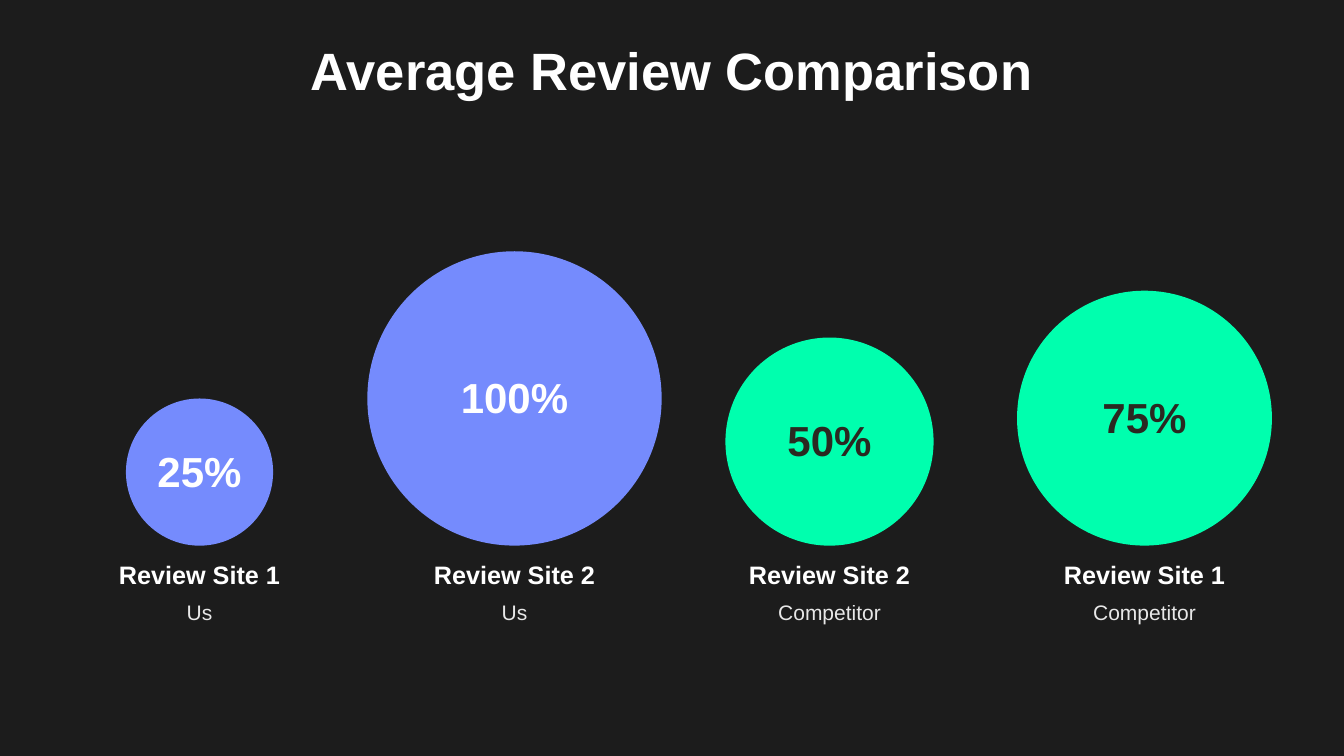
from math import sqrt
from pptx import Presentation
from pptx.dml.color import RGBColor
from pptx.enum.shapes import MSO_SHAPE
from pptx.enum.text import PP_ALIGN
from pptx.oxml.ns import qn
from pptx.util import Pt
from lxml import etree

COLORS = {"ground": "1C1C1C", "white": "FFFFFF", "dark": "2A2921",
          "us": "758BFD", "competitor": "00FFAE"}
STYLES = {
    "title": {"size": Pt(37.5), "bold": True, "name": "Arial"},
    "percent": {"size": Pt(30), "bold": True, "name": "Arial"},
    "site": {"size": Pt(18), "bold": True, "name": "Arial"},
    "owner": {"size": Pt(15), "bold": False, "name": "Arial"},
}
LINE_HEIGHTS = {"title": 42, "percent": 33.6, "site": 20.2, "owner": 16.8}
REVIEWS = [
    ("Review Site 1", "Us", 25),
    ("Review Site 2", "Us", 100),
    ("Review Site 2", "Competitor", 50),
    ("Review Site 1", "Competitor", 75),
]
FIRST_CENTER, STEP = 142.5, 225
BASELINE, FULL_DIAMETER = 389.75, 210.25
LABEL_WIDTH, PERCENT_WIDTH = 231, 83

deck = Presentation()
deck.slide_width, deck.slide_height = Pt(960), Pt(540)
page = deck.slides.add_slide(deck.slide_layouts[6])
page.background.fill.solid()
page.background.fill.fore_color.rgb = RGBColor.from_string(COLORS["ground"])


def add_text(text, style, center, top, width, color="white"):
    height = LINE_HEIGHTS[style]
    box = page.shapes.add_textbox(Pt(center - width / 2), Pt(top), Pt(width), Pt(height))
    frame = box.text_frame
    frame.word_wrap = True
    for side in ("left", "top", "right", "bottom"):
        setattr(frame, f"margin_{side}", 0)
    para = frame.paragraphs[0]
    para.alignment = PP_ALIGN.CENTER
    para.line_spacing = Pt(height)
    span = para.add_run()
    span.text = text
    for key, value in STYLES[style].items():
        setattr(span.font, key, value)
    span.font.color.rgb = RGBColor.from_string(COLORS[color])
    return span


add_text("Average Review Comparison", "title", 480, 30, 960)

for index, (site, owner, percent) in enumerate(REVIEWS):
    center = FIRST_CENTER + index * STEP
    diameter = FULL_DIAMETER * sqrt(percent / 100)
    circle = page.shapes.add_shape(
        MSO_SHAPE.OVAL, Pt(center - diameter / 2), Pt(BASELINE - diameter),
        Pt(diameter), Pt(diameter))
    circle.shadow.inherit = False
    circle.fill.solid()
    circle.fill.fore_color.rgb = RGBColor.from_string(COLORS[owner.lower()])
    circle.line.fill.background()

    add_text(site, "site", center, 401.25, LABEL_WIDTH)
    owner_span = add_text(owner, "owner", center, 429.25, LABEL_WIDTH)
    for tint in owner_span.font.fill._xPr.iter(qn("a:srgbClr")):
        etree.SubElement(tint, qn("a:alpha"), val="90000")
    percent_top = BASELINE - diameter / 2 - LINE_HEIGHTS["percent"] / 2
    add_text(f"{percent}%", "percent", center, percent_top, PERCENT_WIDTH,
             "white" if owner == "Us" else "dark")

deck.save("out.pptx")
